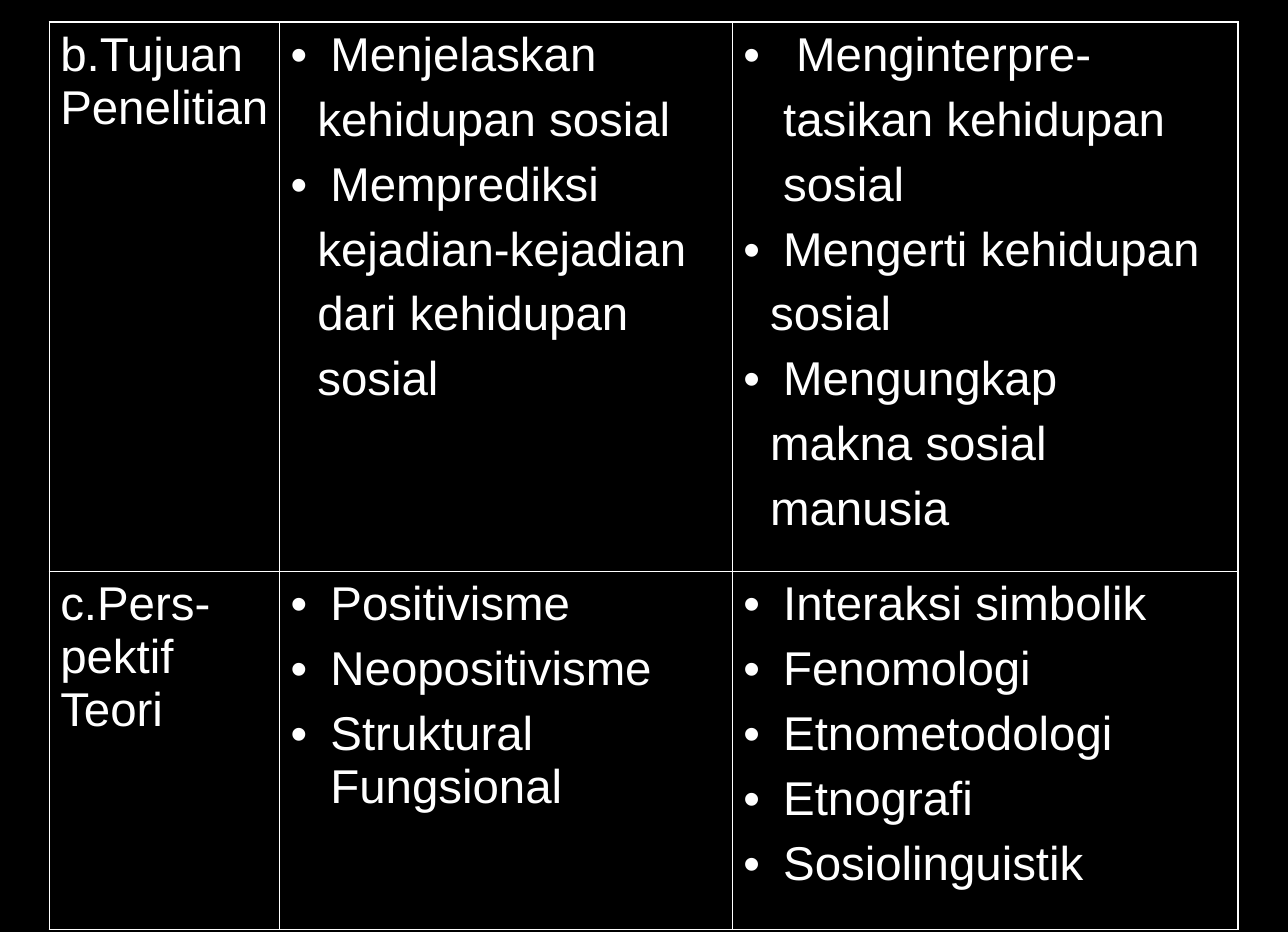
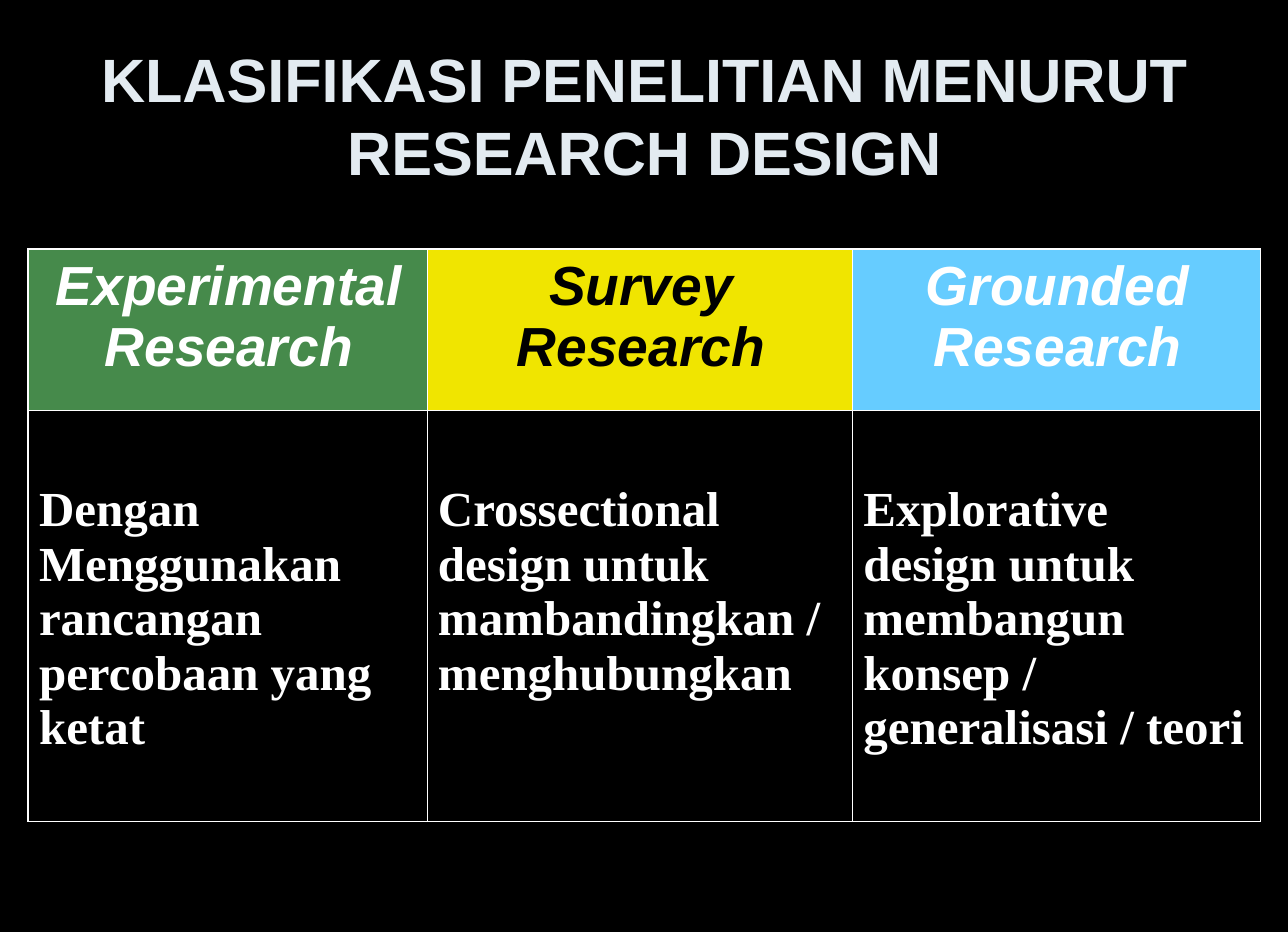
import pptx
import pptx.util
import pptx.dml.color
import pptx.enum.text
import pptx.oxml.ns
from lxml import etree

Cm, Pt, Emu = pptx.util.Cm, pptx.util.Pt, pptx.util.Emu
PP_ALIGN = pptx.enum.text.PP_ALIGN

# Shared look
WIDTH, HEIGHT = Emu(10691813), Emu(7740650)
BLACK, WHITE, PALE = "000000", "FFFFFF", "E3EBF1"
GREEN, YELLOW, SKY = "468A4B", "F0E500", "66CCFF"
SANS, SERIF = "Arial", "Times New Roman"
OUTER, INNER = 1.08, 0.45  # border widths in points
LEFT, RIGHT, TOP = 0.25, 0.2, 0.15  # cell margins in cm

# Slide 1: each line is (has bullet, indent in cm, text)
NEAR, MID, FAR = 0.62, 0.92, 1.22


def bullets(*items):
    return [(True, MID, item) for item in items]


COMPARISON = [
    [
        [(False, 0, "b.Tujuan Penelitian")],
        [
            (True, MID, "Menjelaskan"),
            (False, NEAR, "kehidupan sosial"),
            (True, MID, "Memprediksi"),
            (False, NEAR, "kejadian-kejadian"),
            (False, NEAR, "dari kehidupan"),
            (False, NEAR, "sosial"),
        ],
        [
            (True, FAR, "Menginterpre-"),
            (False, MID, "tasikan kehidupan"),
            (False, MID, "sosial"),
            (True, MID, "Mengerti kehidupan"),
            (False, NEAR, "sosial"),
            (True, MID, "Mengungkap"),
            (False, NEAR, "makna sosial"),
            (False, NEAR, "manusia"),
        ],
    ],
    [
        [(False, 0, "c.Pers-pektif Teori")],
        bullets("Positivisme", "Neopositivisme", "Struktural Fungsional"),
        bullets("Interaksi simbolik", "Fenomologi", "Etnometodologi",
                "Etnografi", "Sosiolinguistik"),
    ],
]

# Slide 2: heading, fill, heading colour, description
TITLE = "KLASIFIKASI PENELITIAN MENURUT RESEARCH DESIGN"
DESIGNS = [
    ("Experimental Research", GREEN, WHITE,
     "Dengan Menggunakan rancangan percobaan yang ketat"),
    ("Survey Research", YELLOW, BLACK,
     "Crossectional design untuk mambandingkan / menghubungkan"),
    ("Grounded Research", SKY, WHITE,
     "Explorative design untuk membangun konsep / generalisasi / teori"),
]


# Helpers
def rgb(value):
    return pptx.dml.color.RGBColor.from_string(value)


def add_slide(prs):
    s = prs.slides.add_slide(prs.slide_layouts[6])
    s.background.fill.solid()
    s.background.fill.fore_color.rgb = rgb(BLACK)
    return s


def write(p, text, size, color=WHITE, font=SANS, bold=False, italic=False,
          align=PP_ALIGN.LEFT, before=0.0):
    p.text = text
    p.alignment, p.space_before = align, Pt(before)
    f = p.runs[0].font
    f.size, f.name, f.bold, f.italic = Pt(size), font, bold, italic
    f.color.rgb = rgb(color)


def indent(p, bullet, left):
    pPr = p._p.get_or_add_pPr()
    pPr.set("marL", str(Cm(left)))
    pPr.set("indent", str(-Cm(left) if bullet else 0))
    if bullet:
        tag = pptx.oxml.ns.qn
        color = etree.SubElement(pPr, tag("a:buClr"))
        etree.SubElement(color, tag("a:srgbClr"), val=WHITE)
        etree.SubElement(pPr, tag("a:buFont"), typeface=SANS)
        etree.SubElement(pPr, tag("a:buChar"), char="•")


def set_borders(cell, widths):
    tag = pptx.oxml.ns.qn
    tcPr = cell._tc.get_or_add_tcPr()
    for i, (side, width) in enumerate(zip("LRTB", widths)):
        ln = etree.Element(tag("a:ln" + side), w=str(Pt(width)))
        fill = etree.SubElement(ln, tag("a:solidFill"))
        etree.SubElement(fill, tag("a:srgbClr"), val=WHITE)
        tcPr.insert(i, ln)


def add_grid(s, left, top, col_widths, row_heights):
    """Add an unfilled table with strong outer and fine inner borders."""
    rows, cols = len(row_heights), len(col_widths)
    table = s.shapes.add_table(rows, cols, Cm(left), Cm(top), Cm(sum(col_widths)),
                               Cm(sum(row_heights))).table
    table.first_row = table.horz_banding = False
    for column, width in zip(table.columns, col_widths):
        column.width = Cm(width)
    for row, height in zip(table.rows, row_heights):
        row.height = Cm(height)
    for r in range(rows):
        for c in range(cols):
            cell = table.cell(r, c)
            cell.margin_left, cell.margin_right = Cm(LEFT), Cm(RIGHT)
            cell.margin_top = cell.margin_bottom = Cm(TOP)
            cell.fill.background()
            edges = (c == 0, c == cols - 1, r == 0, r == rows - 1)
            set_borders(cell, [OUTER if edge else INNER for edge in edges])
    return table


prs = pptx.Presentation()
prs.slide_width, prs.slide_height = WIDTH, HEIGHT

# Slide 1: comparison of aims and theories
s = add_slide(prs)
table = add_grid(s, 1.14, 0.51, [5.31, 10.44, 11.66], [12.67, 8.26])
for r, row in enumerate(COMPARISON):
    for c, lines in enumerate(row):
        tf = table.cell(r, c).text_frame
        for i, (bullet, left, text) in enumerate(lines):
            p = tf.add_paragraph() if i else tf.paragraphs[0]
            write(p, text, 31, before=7.7)
            indent(p, bullet, left)

# Slide 2: title and research designs
s = add_slide(prs)
tf = s.shapes.add_textbox(Cm(1.5), Cm(0.86), Cm(26.72), Cm(3.58)).text_frame
tf.word_wrap = True
tf.vertical_anchor = pptx.enum.text.MSO_ANCHOR.MIDDLE
tf.margin_left = tf.margin_right = Cm(0.28)
tf.margin_top = tf.margin_bottom = Cm(0.15)
write(tf.paragraphs[0], TITLE, 40, PALE, bold=True, align=PP_ALIGN.CENTER)

table = add_grid(s, 0.65, 5.74, [9.2, 9.81, 9.4], [3.73, 9.48])
for c, (heading, fill, color, description) in enumerate(DESIGNS):
    head, body = table.cell(0, c), table.cell(1, c)
    head.fill.solid()
    head.fill.fore_color.rgb = rgb(fill)
    write(head.text_frame.paragraphs[0], heading, 36, color, bold=True, italic=True,
          align=PP_ALIGN.CENTER, before=9)
    body.margin_top = Cm(1.68)
    write(body.text_frame.paragraphs[0], description, 32, font=SERIF, bold=True, before=8)

prs.save("out.pptx")
